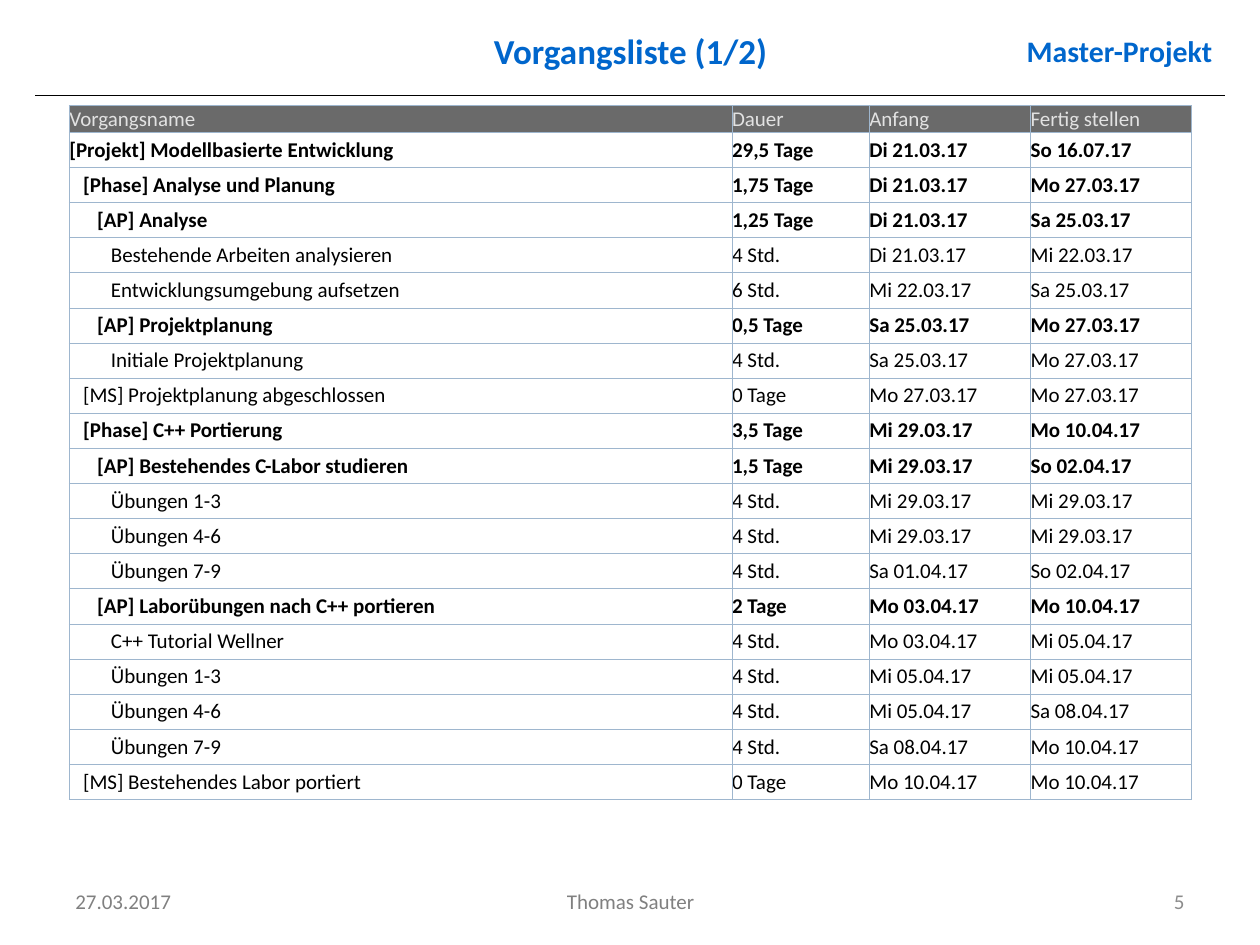
from dataclasses import dataclass

from lxml.etree import SubElement
from pptx import Presentation
from pptx.dml.color import RGBColor as RGB
from pptx.enum.shapes import MSO_CONNECTOR as CONN
from pptx.enum.text import MSO_ANCHOR as ANCHOR, PP_ALIGN as ALIGN
from pptx.oxml.ns import qn
from pptx.util import Inches, Pt


@dataclass(frozen=True)
class Theme:
    font: str = "Calibri"
    accent: str = "0066CC"
    ink: str = "000000"
    paper: str = "FFFFFF"
    footer: str = "808080"
    page: str = "8C8C8C"
    head_fill: str = "6A6A6A"
    head_text: str = "E2E2E2"
    grid: str = "9EB6CE"
    title_size: float = 20
    tag_size: float = 17
    body_size: float = 12
    rule_width: float = 0.75
    grid_width: float = 0.5


class SlideBuilder:
    def __init__(self, s, theme):
        self.s = s
        self.theme = theme

    def run(self, p, text, size, color, bold=False):
        r = p.add_run()
        r.text = text
        r.font.name = self.theme.font
        r.font.size = Pt(size)
        r.font.bold = bold
        r.font.color.rgb = RGB.from_string(color)

    def text(self, box, text, size, color, align=ALIGN.LEFT, bold=False):
        sp = self.s.shapes.add_textbox(*map(Inches, box))
        tf = sp.text_frame
        tf.word_wrap = True
        tf.vertical_anchor = ANCHOR.MIDDLE
        p = tf.paragraphs[0]
        p.alignment = align
        self.run(p, text, size, color, bold)

    def rule(self, x1, x2, y):
        """Draw a horizontal line."""
        line = self.s.shapes.add_connector(
            CONN.STRAIGHT, Inches(x1), Inches(y), Inches(x2), Inches(y))
        line.line.color.rgb = RGB.from_string(self.theme.ink)
        line.line.width = Pt(self.theme.rule_width)
        SubElement(line._element.spPr, qn("a:effectLst"))

    def borders(self, cell):
        tc_pr = cell._tc.get_or_add_tcPr()
        for side in ("lnL", "lnR", "lnT", "lnB"):
            ln = SubElement(tc_pr, qn(f"a:{side}"),
                            w=str(Pt(self.theme.grid_width)))
            fill = SubElement(ln, qn("a:solidFill"))
            SubElement(fill, qn("a:srgbClr"), val=self.theme.grid)

    def cell(self, cell, text, color, fill, bold=False, indent=0):
        self.borders(cell)
        cell.fill.solid()
        cell.fill.fore_color.rgb = RGB.from_string(fill)
        cell.margin_left = cell.margin_right = 0
        cell.margin_top = cell.margin_bottom = 0
        cell.vertical_anchor = ANCHOR.MIDDLE
        p = cell.text_frame.paragraphs[0]
        if indent:
            p._p.get_or_add_pPr().set("marL", str(Inches(indent)))
        self.run(p, text, self.theme.body_size, color, bold)

    def task_table(self, box, widths, head_height, header, tasks):
        """Add the task list; each task is (level, name, duration, start, end)."""
        t = self.theme
        frame = self.s.shapes.add_table(
            len(tasks) + 1, len(header), *map(Inches, box))
        table = frame.table
        for column, width in zip(table.columns, widths):
            column.width = Inches(width)
        for row in table.rows:
            row.height = Inches((box[3] - head_height) / len(tasks))
        table.rows[0].height = Inches(head_height)

        for c, label in enumerate(header):
            self.cell(table.cell(0, c), label, t.head_text, t.head_fill)
        for r, (level, *values) in enumerate(tasks, 1):
            bold = values[0].startswith(SUMMARY_PREFIXES)
            for c, value in enumerate(values):
                indent = level * LEVEL_INDENT if c == 0 else 0
                self.cell(table.cell(r, c), value, t.ink, t.paper, bold, indent)


LEVEL_INDENT = 0.11
SUMMARY_PREFIXES = ("[Projekt]", "[Phase]", "[AP]")
HEADER = ("Vorgangsname", "Dauer", "Anfang", "Fertig stellen")
TASKS = [
    (0, "[Projekt] Modellbasierte Entwicklung", "29,5 Tage", "Di 21.03.17", "So 16.07.17"),
    (1, "[Phase] Analyse und Planung", "1,75 Tage", "Di 21.03.17", "Mo 27.03.17"),
    (2, "[AP] Analyse", "1,25 Tage", "Di 21.03.17", "Sa 25.03.17"),
    (3, "Bestehende Arbeiten analysieren", "4 Std.", "Di 21.03.17", "Mi 22.03.17"),
    (3, "Entwicklungsumgebung aufsetzen", "6 Std.", "Mi 22.03.17", "Sa 25.03.17"),
    (2, "[AP] Projektplanung", "0,5 Tage", "Sa 25.03.17", "Mo 27.03.17"),
    (3, "Initiale Projektplanung", "4 Std.", "Sa 25.03.17", "Mo 27.03.17"),
    (1, "[MS] Projektplanung abgeschlossen", "0 Tage", "Mo 27.03.17", "Mo 27.03.17"),
    (1, "[Phase] C++ Portierung", "3,5 Tage", "Mi 29.03.17", "Mo 10.04.17"),
    (2, "[AP] Bestehendes C-Labor studieren", "1,5 Tage", "Mi 29.03.17", "So 02.04.17"),
    (3, "Übungen 1-3", "4 Std.", "Mi 29.03.17", "Mi 29.03.17"),
    (3, "Übungen 4-6", "4 Std.", "Mi 29.03.17", "Mi 29.03.17"),
    (3, "Übungen 7-9", "4 Std.", "Sa 01.04.17", "So 02.04.17"),
    (2, "[AP] Laborübungen nach C++ portieren", "2 Tage", "Mo 03.04.17", "Mo 10.04.17"),
    (3, "C++ Tutorial Wellner", "4 Std.", "Mo 03.04.17", "Mi 05.04.17"),
    (3, "Übungen 1-3", "4 Std.", "Mi 05.04.17", "Mi 05.04.17"),
    (3, "Übungen 4-6", "4 Std.", "Mi 05.04.17", "Sa 08.04.17"),
    (3, "Übungen 7-9", "4 Std.", "Sa 08.04.17", "Mo 10.04.17"),
    (1, "[MS] Bestehendes Labor portiert", "0 Tage", "Mo 10.04.17", "Mo 10.04.17"),
]


def main():
    prs = Presentation()
    prs.slide_width, prs.slide_height = Inches(10), Inches(7.5)
    t = Theme()
    b = SlideBuilder(prs.slides.add_slide(prs.slide_layouts[6]), t)

    b.rule(0.28, 9.72, 0.76)
    b.text((2.13, 0.2, 5.75, 0.4), "Vorgangsliste (1/2)",
           t.title_size, t.accent, ALIGN.CENTER, bold=True)
    b.text((7.99, 0.18, 1.73, 0.44), "Master-Projekt",
           t.tag_size, t.accent, ALIGN.RIGHT, bold=True)

    footers = [
        (0.5, 2.33, "27.03.2017", t.footer, ALIGN.LEFT),
        (3.42, 3.17, "Thomas Sauter", t.footer, ALIGN.CENTER),
        (7.17, 2.33, "5", t.page, ALIGN.RIGHT),
    ]
    for x, width, text, color, align in footers:
        b.text((x, 6.95, width, 0.4), text, t.body_size, color, align)

    b.task_table((0.55, 0.84, 8.9, 5.51), (5.26, 1.09, 1.28, 1.28),
                 0.21, HEADER, TASKS)
    prs.save("out.pptx")


if __name__ == "__main__":
    main()
